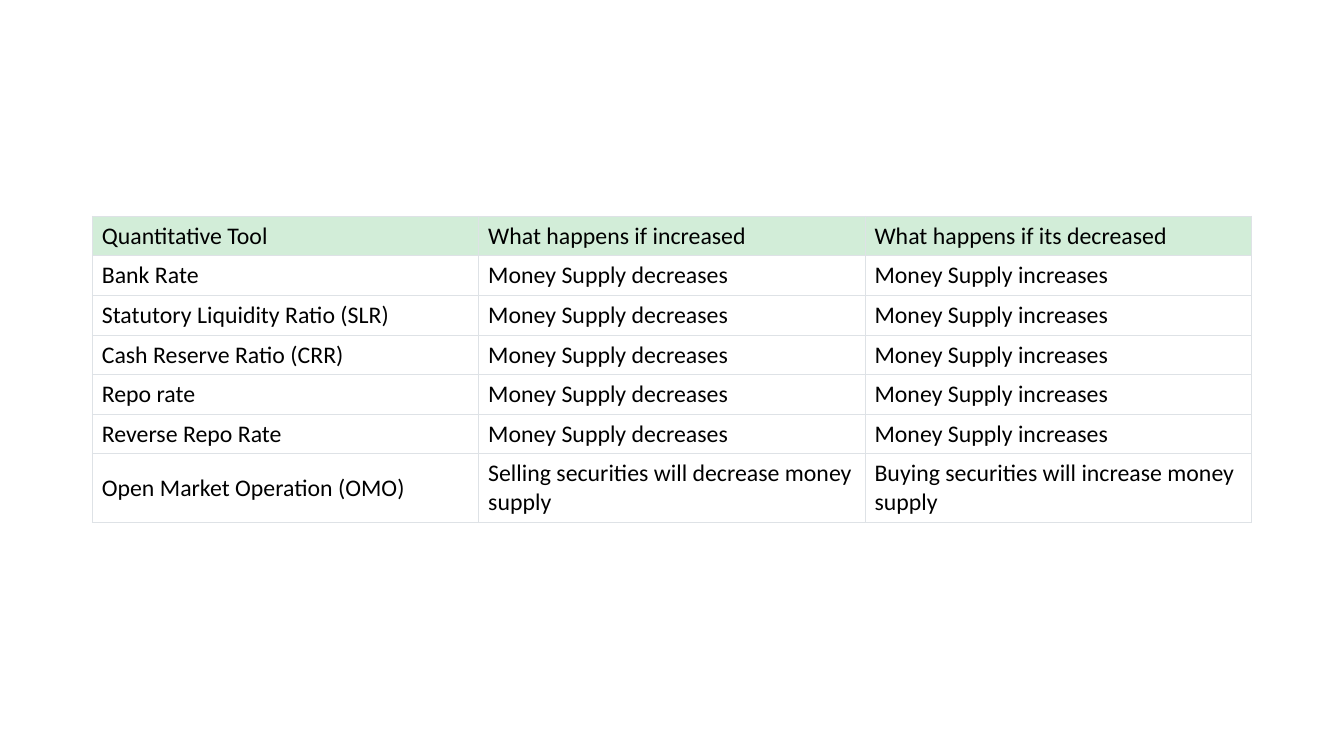
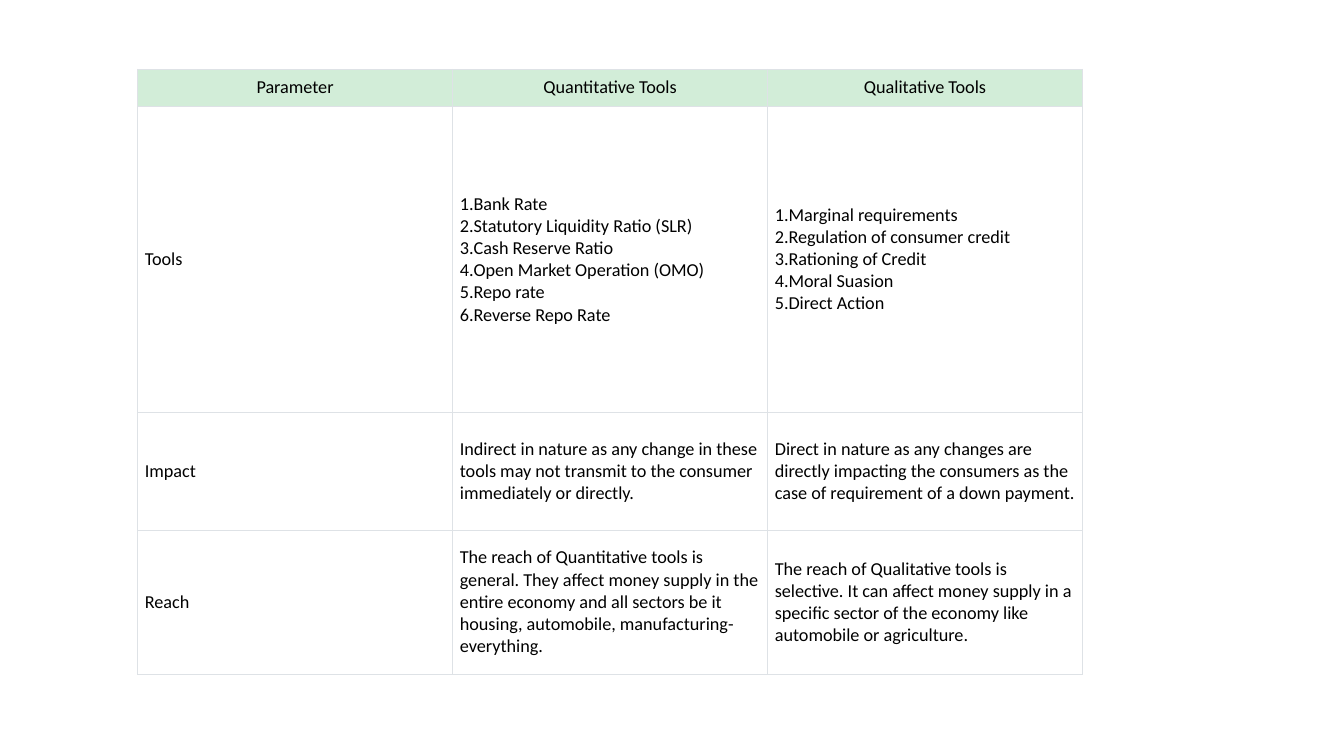
from dataclasses import dataclass

from lxml import etree
from pptx import Presentation
from pptx.dml.color import RGBColor
from pptx.enum.text import MSO_ANCHOR, PP_ALIGN
from pptx.oxml.ns import qn
from pptx.util import Emu, Pt

MIDDLE = MSO_ANCHOR.MIDDLE
LEFT, CENTER = PP_ALIGN.LEFT, PP_ALIGN.CENTER

BLACK = RGBColor(0x00, 0x00, 0x00)
WHITE = RGBColor(0xFF, 0xFF, 0xFF)
MINT = RGBColor(0xD2, 0xED, 0xD8)
GRID = RGBColor(0xDE, 0xE2, 0xE6)
FONT = "Calibri"
BORDER_WIDTH = Pt(0.75)
EMU_PER_PX = 9525
SLIDE_W, SLIDE_H = 1280, 720

Cell = str | tuple[str, ...]  # a tuple is a numbered list


@dataclass(frozen=True)
class TableSpec:
    left: int
    top: int
    col_width: int
    row_heights: list[int]
    margin_x: int
    margin_y: int
    font_size: int
    header_align: PP_ALIGN
    rows: list[tuple[Cell, ...]]


def px(n: int) -> Emu:
    return Emu(n * EMU_PER_PX)


def add_borders(cell) -> None:
    tc_pr = cell._tc.get_or_add_tcPr()
    for i, side in enumerate(("lnL", "lnR", "lnT", "lnB")):
        ln = etree.Element(qn(f"a:{side}"), w=str(BORDER_WIDTH))
        fill = etree.SubElement(ln, qn("a:solidFill"))
        etree.SubElement(fill, qn("a:srgbClr"), val=str(GRID))
        tc_pr.insert(i, ln)


def number_paragraph(p) -> None:
    p_pr = p._p.get_or_add_pPr()
    p_pr.set("marL", "0")
    p_pr.set("indent", "0")
    etree.SubElement(p_pr, qn("a:buFont"), typeface="+mj-lt")
    etree.SubElement(p_pr, qn("a:buAutoNum"), type="arabicPeriod")


def fill_cell(cell, content: Cell, spec: TableSpec, is_header: bool) -> None:
    cell.fill.solid()
    cell.fill.fore_color.rgb = MINT if is_header else WHITE
    add_borders(cell)
    cell.vertical_anchor = MIDDLE
    cell.margin_left = cell.margin_right = px(spec.margin_x)
    cell.margin_top = cell.margin_bottom = px(spec.margin_y)

    numbered = isinstance(content, tuple)
    tf = cell.text_frame
    tf.text = "\n".join(content) if numbered else content
    for p in tf.paragraphs:
        p.alignment = spec.header_align if is_header else LEFT
        if numbered:
            number_paragraph(p)
        for r in p.runs:
            r.font.name = FONT
            r.font.size = Pt(spec.font_size)
            r.font.color.rgb = BLACK


def add_table_slide(prs, spec: TableSpec) -> None:
    s = prs.slides.add_slide(prs.slide_layouts[6])
    n_cols = len(spec.rows[0])
    table = s.shapes.add_table(
        len(spec.rows), n_cols, px(spec.left), px(spec.top),
        px(spec.col_width * n_cols), px(sum(spec.row_heights))).table
    table.first_row = table.horz_banding = False
    for col in table.columns:
        col.width = px(spec.col_width)
    for i, (height, contents) in enumerate(zip(spec.row_heights, spec.rows)):
        table.rows[i].height = px(height)
        for j, content in enumerate(contents):
            fill_cell(table.cell(i, j), content, spec, is_header=i == 0)


# Effect of each quantitative tool on money supply
RATE_TOOLS = ["Bank Rate", "Statutory Liquidity Ratio (SLR)",
              "Cash Reserve Ratio (CRR)", "Repo rate", "Reverse Repo Rate"]

EFFECTS = TableSpec(
    left=88, top=206, col_width=368, row_heights=[37] * 6 + [65],
    margin_x=9, margin_y=5, font_size=17, header_align=LEFT,
    rows=[
        ("Quantitative Tool", "What happens if increased",
         "What happens if its decreased"),
        *((tool, "Money Supply decreases", "Money Supply increases")
          for tool in RATE_TOOLS),
        ("Open Market Operation (OMO)",
         "Selling securities will decrease money supply",
         "Buying securities will increase money supply"),
    ])

# Quantitative against qualitative tools
COMPARISON = TableSpec(
    left=131, top=66, col_width=300, row_heights=[35, 292, 112, 137],
    margin_x=7, margin_y=4, font_size=13, header_align=CENTER,
    rows=[
        ("Parameter", "Quantitative Tools", "Qualitative Tools"),
        ("Tools",
         ("Bank Rate", "Statutory Liquidity Ratio (SLR)",
          "Cash Reserve Ratio", "Open Market Operation (OMO)",
          "Repo rate", "Reverse Repo Rate"),
         ("Marginal requirements", "Regulation of consumer credit",
          "Rationing of Credit", "Moral Suasion", "Direct Action")),
        ("Impact",
         "Indirect in nature as any change in these tools may not transmit "
         "to the consumer immediately or directly.",
         "Direct in nature as any changes are directly impacting the "
         "consumers as the case of requirement of a down payment."),
        ("Reach",
         "The reach of Quantitative tools is general. They affect money "
         "supply in the entire economy and all sectors be it housing, "
         "automobile, manufacturing- everything.",
         "The reach of Qualitative tools is selective. It can affect money "
         "supply in a specific sector of the economy like automobile or "
         "agriculture."),
    ])


def main() -> None:
    prs = Presentation()
    prs.slide_width, prs.slide_height = px(SLIDE_W), px(SLIDE_H)
    for spec in (EFFECTS, COMPARISON):
        add_table_slide(prs, spec)
    prs.save("out.pptx")


if __name__ == "__main__":
    main()
